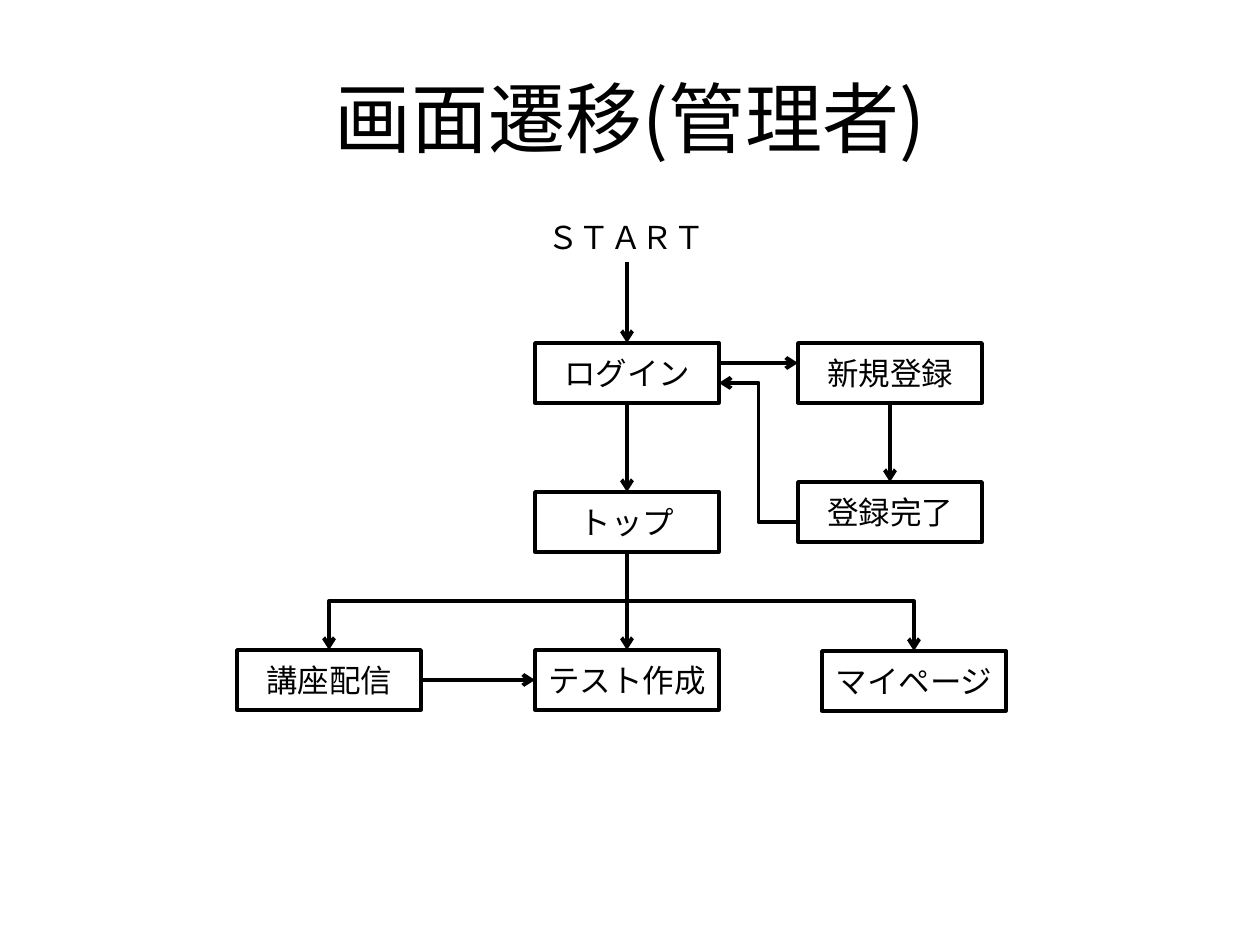
from dataclasses import dataclass

from lxml import etree
from pptx import Presentation
from pptx import util as u
from pptx.dml.color import RGBColor
from pptx.enum import shapes, text
from pptx.oxml.ns import qn

FONT = "Noto Sans CJK JP"
BLACK, WHITE = "000000", "FFFFFF"
PX_PER_INCH = 126
BOX_W, BOX_H = 184, 60
TOP, LEFT, BOTTOM, RIGHT = range(4)


@dataclass(frozen=True)
class Screen:
    """One screen of the flow, placed by its top left corner in px."""
    label: str
    x: int
    y: int

    @property
    def middle(self) -> int:
        return self.x + BOX_W // 2

    @property
    def bottom(self) -> int:
        return self.y + BOX_H


LOGIN = Screen("ログイン", 535, 343)
HOME = Screen("トップ", 535, 492)
SIGNUP = Screen("新規登録", 798, 343)
SIGNED_UP = Screen("登録完了", 798, 482)
COURSES = Screen("講座配信", 237, 650)
TESTS = Screen("テスト作成", 535, 650)
MY_PAGE = Screen("マイページ", 822, 651)
SCREENS = (LOGIN, HOME, SIGNUP, SIGNED_UP, COURSES, TESTS, MY_PAGE)
STRAIGHT_STEPS = (
    (LOGIN, BOTTOM, HOME, TOP),
    (SIGNUP, BOTTOM, SIGNED_UP, TOP),
    (HOME, BOTTOM, TESTS, TOP),
    (COURSES, RIGHT, TESTS, LEFT),
)


def px(length: float) -> int:
    """Turn px into EMU."""
    return round(length * u.Inches(1) / PX_PER_INCH)


def color(hex_code: str) -> RGBColor:
    """Turn a hex string into a colour."""
    return RGBColor.from_string(hex_code)


def write(shape, words: str, size: int = 18, align=text.PP_ALIGN.CENTER,
          anchor=text.MSO_ANCHOR.MIDDLE, wrap: bool = True) -> None:
    """Write one formatted line into a shape."""
    frame = shape.text_frame
    frame.word_wrap, frame.vertical_anchor = wrap, anchor
    paragraph = frame.paragraphs[0]
    paragraph.alignment = align
    run = paragraph.add_run()
    run.text = words
    run.font.size, run.font.name = u.Pt(size), FONT
    run.font.color.rgb = color(BLACK)
    etree.SubElement(run.font._element, qn("a:ea"), typeface=FONT)


def draw_screen(slide, screen: Screen):
    """Draw a screen as a labelled rectangle."""
    box = slide.shapes.add_shape(shapes.MSO_SHAPE.RECTANGLE, px(screen.x), px(screen.y),
                                 px(BOX_W), px(BOX_H))
    box.shadow.inherit = False
    box.fill.solid()
    box.fill.fore_color.rgb = color(WHITE)
    box.line.color.rgb = color(BLACK)
    box.line.width = u.Pt(2)
    write(box, screen.label)
    return box


def draw_arrow(slide, x1: float = 0, y1: float = 0, x2: float = 0, y2: float = 0,
               kind=shapes.MSO_CONNECTOR.STRAIGHT):
    """Draw a connector with an arrowhead at its end."""
    arrow = slide.shapes.add_connector(kind, px(x1), px(y1), px(x2), px(y2))
    arrow.line.color.rgb = color(BLACK)
    arrow.line.width = u.Pt(2.25)
    etree.SubElement(arrow.line._get_or_add_ln(), qn("a:tailEnd"), type="arrow")
    etree.SubElement(arrow._element.spPr, qn("a:effectLst"))
    return arrow


def join(slide, source, source_side: int, target, target_side: int) -> None:
    """Join the side middles of two shapes with a straight arrow."""
    arrow = draw_arrow(slide)
    arrow.begin_connect(source, source_side)
    arrow.end_connect(target, target_side)


def draw_branch(slide, source: Screen, target: Screen) -> None:
    """Draw a turned elbow that leaves downward and enters from above."""
    drop, run = target.y - source.bottom, target.middle - source.middle
    mid_x, mid_y = (source.middle + target.middle) / 2, (source.bottom + target.y) / 2
    reach = drop / 2 if run > 0 else -drop / 2
    half_run = abs(run) / 2
    elbow = draw_arrow(slide, mid_x + reach, mid_y - half_run, mid_x - reach,
                       mid_y + half_run, shapes.MSO_CONNECTOR.ELBOW)
    elbow.rotation = 270 if run > 0 else 90


def main() -> None:
    """Build the screen flow slide."""
    deck = Presentation()
    deck.slide_width, deck.slide_height = u.Inches(10), u.Inches(7.5)
    slide = deck.slides.add_slide(deck.slide_layouts[5])

    title = slide.shapes.title
    title.left, title.top, title.width, title.height = map(px, (63, 38, 1134, 157))
    write(title, "画面遷移(管理者)", size=44)

    start = slide.shapes.add_textbox(px(535), px(212), px(BOX_W), px(50))
    write(start, "ＳＴＡＲＴ", align=text.PP_ALIGN.LEFT, anchor=text.MSO_ANCHOR.TOP, wrap=False)
    start.text_frame.auto_size = text.MSO_AUTO_SIZE.SHAPE_TO_FIT_TEXT

    boxes = {screen: draw_screen(slide, screen) for screen in SCREENS}
    join(slide, start, BOTTOM, boxes[LOGIN], TOP)
    for source, source_side, target, target_side in STRAIGHT_STEPS:
        join(slide, boxes[source], source_side, boxes[target], target_side)

    login_right = LOGIN.x + BOX_W
    draw_arrow(slide, login_right, LOGIN.y + 20, SIGNUP.x, SIGNUP.y + 20)
    draw_arrow(slide, SIGNED_UP.x, SIGNED_UP.y + 40, login_right, LOGIN.y + 40,
               shapes.MSO_CONNECTOR.ELBOW)
    for target in (COURSES, MY_PAGE):
        draw_branch(slide, HOME, target)

    deck.save("out.pptx")


if __name__ == "__main__":
    main()
